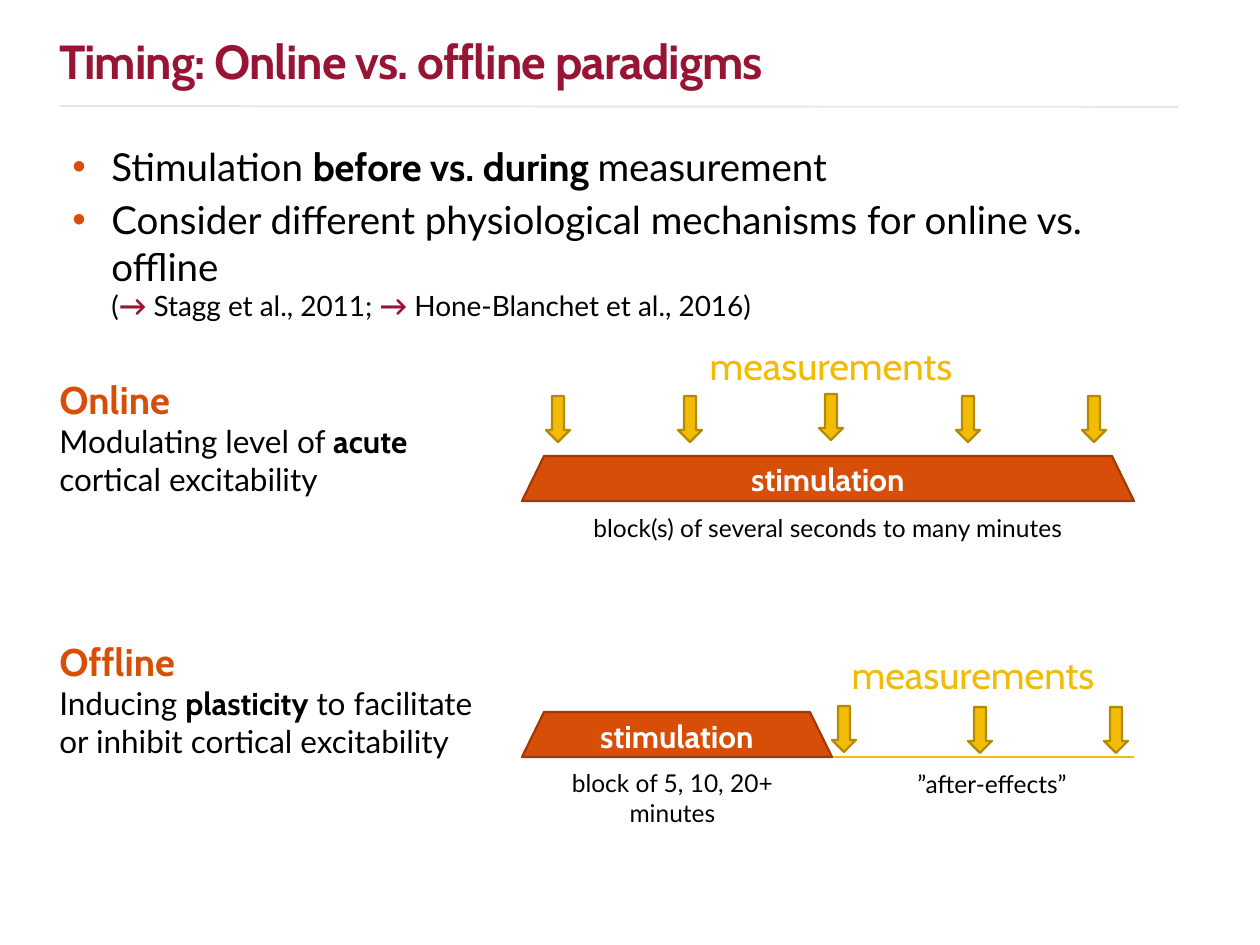
import pptx
import pptx.util
import pptx.dml.color
import pptx.enum.shapes
import pptx.enum.text
import pptx.oxml.ns
import lxml.etree

PX = 914400 / 126
HUES = {"wine": "981434", "rule": "E9E5DC", "black": "000000", "white": "FFFFFF",
        "orange": "D74E09", "rust": "9F3A07", "gold": "F2BB05", "olive": "B38A04"}
KINDS = pptx.enum.shapes.MSO_SHAPE
MID = pptx.enum.text.PP_ALIGN.CENTER


def style(face, size, hue="black", bold=False):
    return {"name": face, "size": pptx.util.Pt(size), "bold": bold, "hue": hue}


TITLE = style("Cabin", 27.3, "wine", True)
POINT = style("Lato", 22)
STRONG = style("Cabin", 22, "black", True)
CITE = style("Lato", 16)
ARROW = style("Lato", 16, "wine", True)
HEAD = style("Cabin", 22, "orange", True)
BODY = style("Lato", 18)
KEY = style("Cabin", 18, "black", True)
BAR = style("Cabin", 18, "white", True)
MEAS = style("Cabin", 22, "gold")
NOTE = style("Lato", 14)


def px(*nums):
    return [round(n * PX) for n in nums]


def color(hue):
    return pptx.dml.color.RGBColor.from_string(HUES[hue])


def write(para, runs):
    """Fill a paragraph with (text, style) runs; None is a line break."""
    for item in runs:
        if item is None:
            para.add_line_break()
            continue
        text, look = item
        run = para.add_run()
        run.text = text
        for key, val in look.items():
            if key == "hue":
                run.font.color.rgb = color(val)
            else:
                setattr(run.font, key, val)


def words(slide, box, paras, align=None):
    frame = slide.shapes.add_textbox(*px(*box)).text_frame
    frame.word_wrap = True
    for i, runs in enumerate(paras):
        para = frame.add_paragraph() if i else frame.paragraphs[0]
        para.alignment = align
        write(para, runs)
    return frame


def block(slide, kind, box, fill, edge):
    shape = slide.shapes.add_shape(kind, *px(*box))
    shape.shadow.inherit = False
    shape.fill.solid()
    shape.fill.fore_color.rgb = color(fill)
    shape.line.color.rgb = color(edge)
    shape.line.width = pptx.util.Pt(1.25)
    return shape


def rule(slide, ends, hue, width):
    line = slide.shapes.add_connector(
        pptx.enum.shapes.MSO_CONNECTOR.STRAIGHT, *px(*ends))
    line.line.color.rgb = color(hue)
    line.line.width = pptx.util.Pt(width)
    lxml.etree.SubElement(line._element.spPr, pptx.oxml.ns.qn("a:effectLst"))


def bullet(para):
    props = para._p.get_or_add_pPr()
    for key, val in {"marL": 39, "indent": -39}.items():
        props.set(key, str(px(val)[0]))
    tag = pptx.oxml.ns.qn
    tint = lxml.etree.SubElement(props, tag("a:buClr"))
    lxml.etree.SubElement(tint, tag("a:srgbClr"), val=HUES["orange"])
    lxml.etree.SubElement(props, tag("a:buFont"), typeface="Arial")
    lxml.etree.SubElement(props, tag("a:buChar"), char="•")
    para.space_after = pptx.util.Pt(4)


def bar(slide, box):
    shape = block(slide, KINDS.TRAPEZOID, box, "orange", "rust")
    shape.adjustments[0] = 0.49
    frame = shape.text_frame
    frame.vertical_anchor = pptx.enum.text.MSO_ANCHOR.MIDDLE
    frame.paragraphs[0].alignment = MID
    write(frame.paragraphs[0], [("stimulation", BAR)])


def arrows(slide, spots):
    for x, y in spots:
        block(slide, KINDS.DOWN_ARROW, (x, y, 24, 46), "gold", "olive")


def title(slide, x, y, w, h):
    frame = words(slide, (x, y, w, h),
                  [[("Timing: Online vs. offline paradigms", TITLE)]])
    para = frame.paragraphs[0]
    para.line_spacing = 0.85
    para.runs[0]._r.get_or_add_rPr().set("spc", "-50")
    rule(slide, (x + 13, y + 72, x + w, y + 73), "rule", 1)


def points(slide, *box):
    frame = words(slide, box, [
        [("Stimulation ", POINT), ("before vs. during ", STRONG),
         ("measurement", POINT)],
        [("Consider different physiological mechanisms for online vs. offline", POINT),
         None, ("(", CITE), ("→ ", ARROW), ("Stagg et al., 2011; ", CITE),
         ("→ ", ARROW), ("Hone-Blanchet et al., 2016)", CITE)]])
    for para in frame.paragraphs:
        bullet(para)


def label(slide, x, y, name, runs):
    words(slide, (x, y, 450, 136), [[(name, HEAD)], runs])


def online(slide, x, y, w):
    label(slide, x, y, "Online", [("Modulating level of ", BODY), ("acute", KEY),
                                  (" cortical excitability", BODY)])
    left, wide = x + 475, w - 475
    bar(slide, (left, y + 86, wide, 45))
    # The middle arrow sits a little higher
    arrows(slide, [(left + dx, y + (24 if dx == 297 else 26))
                   for dx in (24, 156, 297, 434, 560)])
    words(slide, (left + 19, y - 34, 580, 59), [[("measurements", MEAS)]], MID)
    words(slide, (left, y + 137, wide, 43),
          [[("block(s) of several seconds to many minutes", NOTE)]], MID)


def offline(slide, x, y, w):
    label(slide, x, y, "Offline", [("Inducing ", BODY), ("plasticity", KEY),
                                   (" to facilitate or inhibit cortical excitability", BODY)])
    left, wide = x + 475, 310
    end = left + wide
    rule(slide, (end, y + 125, x + w, y + 125), "gold", 1.25)
    bar(slide, (left, y + 80, wide, 45))
    arrows(slide, [(end + 136 * i, y + (75 if i else 74)) for i in range(3)])
    words(slide, (end - 160, y + 13, 602, 59), [[("measurements", MEAS)]], MID)
    words(slide, (left - 7, y + 130, 315, 43),
          [[("block of 5, 10, 20+ minutes", NOTE)]], MID)
    words(slide, (end + 5, y + 131, wide, 43), [[("”after-effects”", NOTE)]], MID)


def main():
    deck = pptx.Presentation()
    deck.slide_width, deck.slide_height = px(1260, 945)
    slide = deck.slides.add_slide(deck.slide_layouts[6])
    title(slide, 47, 34, 1131, 73)
    points(slide, 60, 137, 1118, 147)
    online(slide, 47, 370, 1087)
    offline(slide, 47, 632, 1087)
    deck.save("out.pptx")


if __name__ == "__main__":
    main()
